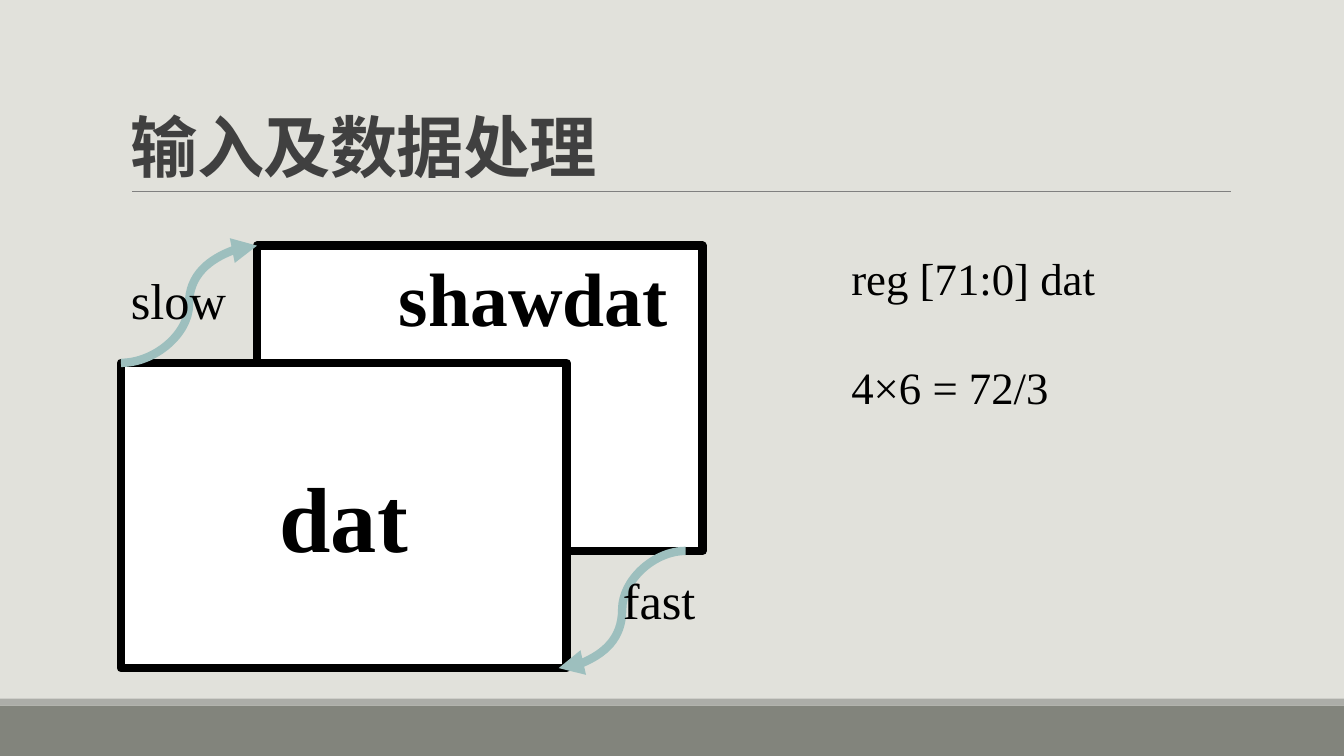
from pptx import Presentation
from pptx import util as u
from pptx.dml.color import RGBColor
from pptx.enum import shapes, text
from pptx.oxml.ns import qn
from lxml import etree

Pt = u.Pt
SERIF = "Times New Roman"
TEAL = "9DBFBE"


def rgb(value):
    """Turn a hex string into a colour."""
    return RGBColor.from_string(value)


def write(tf, content, size=36, font=SERIF, color="000000", bold=False,
          align=text.PP_ALIGN.LEFT, anchor=text.MSO_ANCHOR.TOP, gap=0,
          spacing=None, tracking=0):
    """Fill a text frame, one paragraph per line of content."""
    tf.word_wrap = True
    tf.vertical_anchor = anchor
    for i, line in enumerate(content.split("\n")):
        p = tf.add_paragraph() if i else tf.paragraphs[0]
        p.alignment = align
        p.space_before = Pt(gap if i else 0)
        if spacing:
            p.line_spacing = spacing
        r = p.add_run()
        r.text = line
        r.font.size, r.font.name, r.font.bold = Pt(size), font, bold
        r.font.color.rgb = rgb(color)
        if tracking:
            r._r.get_or_add_rPr().set("spc", str(int(tracking * 100)))


def label(s, box, content, **fmt):
    """Add a text box."""
    sp = s.shapes.add_textbox(*map(Pt, box))
    write(sp.text_frame, content, **fmt)


def rect(s, box, fill, border=0):
    """Add a flat rectangle, with a black border if a width is given."""
    sp = s.shapes.add_shape(shapes.MSO_SHAPE.RECTANGLE, *map(Pt, box))
    sp.shadow.inherit = False
    sp.fill.solid()
    sp.fill.fore_color.rgb = rgb(fill)
    if border:
        sp.line.color.rgb = rgb("000000")
        sp.line.width = Pt(border)
        etree.SubElement(sp.line._get_or_add_ln(), qn("a:round"))
    else:
        sp.line.fill.background()
    return sp


def connect(s, start, end, color, width, curved=False):
    """Add a straight rule or a curved arrow."""
    kind = shapes.MSO_CONNECTOR.CURVE if curved else shapes.MSO_CONNECTOR.STRAIGHT
    sp = s.shapes.add_connector(kind, *map(Pt, start + end))
    sp.line.color.rgb = rgb(color)
    sp.line.width = Pt(width)
    if curved:
        etree.SubElement(sp.line._get_or_add_ln(), qn("a:tailEnd"), type="triangle")
    etree.SubElement(sp._element.spPr, qn("a:effectLst"))


def footer(s, x, y, w, h):
    """Draw the footer band with a thin strip on its upper edge."""
    strip = 5
    rect(s, (x, y + strip, w, h - strip), "82847C")
    rect(s, (x, y, w, strip), "ACADA8")


def heading(s, x, y, w, h):
    """Draw the title and the rule beneath it."""
    connect(s, (x + 8, y + h), (x + w + 0.7, y + h), "808080", 0.5)
    label(s, (x, y, w, h), "输入及数据处理", size=48, font="Calibri",
          color="404040", bold=True, anchor=text.MSO_ANCHOR.BOTTOM,
          spacing=0.85, tracking=-0.5)


def buffers(s, x, y, w, h):
    """Draw the two overlapping registers and the arrows between them."""
    dx, dy = 97.2, 83.7
    card_w, card_h = w - dx, h - dy
    rect(s, (x + dx, y, card_w, card_h), "FFFFFF", 6)
    front = rect(s, (x, y + dy, card_w, card_h), "FFFFFF", 6)
    write(front.text_frame, "dat", size=66, bold=True,
          align=text.PP_ALIGN.CENTER, anchor=text.MSO_ANCHOR.MIDDLE)
    label(s, (x + 191.5, y, 242.5, 73), "shawdat", size=54, bold=True)
    connect(s, (x, y + dy), (x + dx, y), TEAL, 6, True)
    connect(s, (x + w - 12, y + card_h), (x + card_w - 5.5, y + h), TEAL, 6, True)
    label(s, (x + 351.4, y + 227.5, 105, 51), "fast")
    label(s, (x, y + 13, dx, 51), "slow")


def notes(s, x, y, w, h):
    """Write the register declaration and the sum."""
    label(s, (x, y, w, h), "reg [71:0] dat\n4×6 = 72/3", size=32, gap=39.5)


def main():
    """Build and save the slide."""
    prs = Presentation()
    prs.slide_width, prs.slide_height = Pt(960), Pt(540)
    s = prs.slides.add_slide(prs.slide_layouts[6])
    s.background.fill.solid()
    s.background.fill.fore_color.rgb = rgb("E1E1DB")
    footer(s, 0, 499, 960, 41)
    heading(s, 86.4, 22.5, 792, 114.2)
    buffers(s, 86.4, 175.5, 415.4, 301.7)
    notes(s, 601, 175.5, 277, 124)
    prs.save("out.pptx")


if __name__ == "__main__":
    main()
